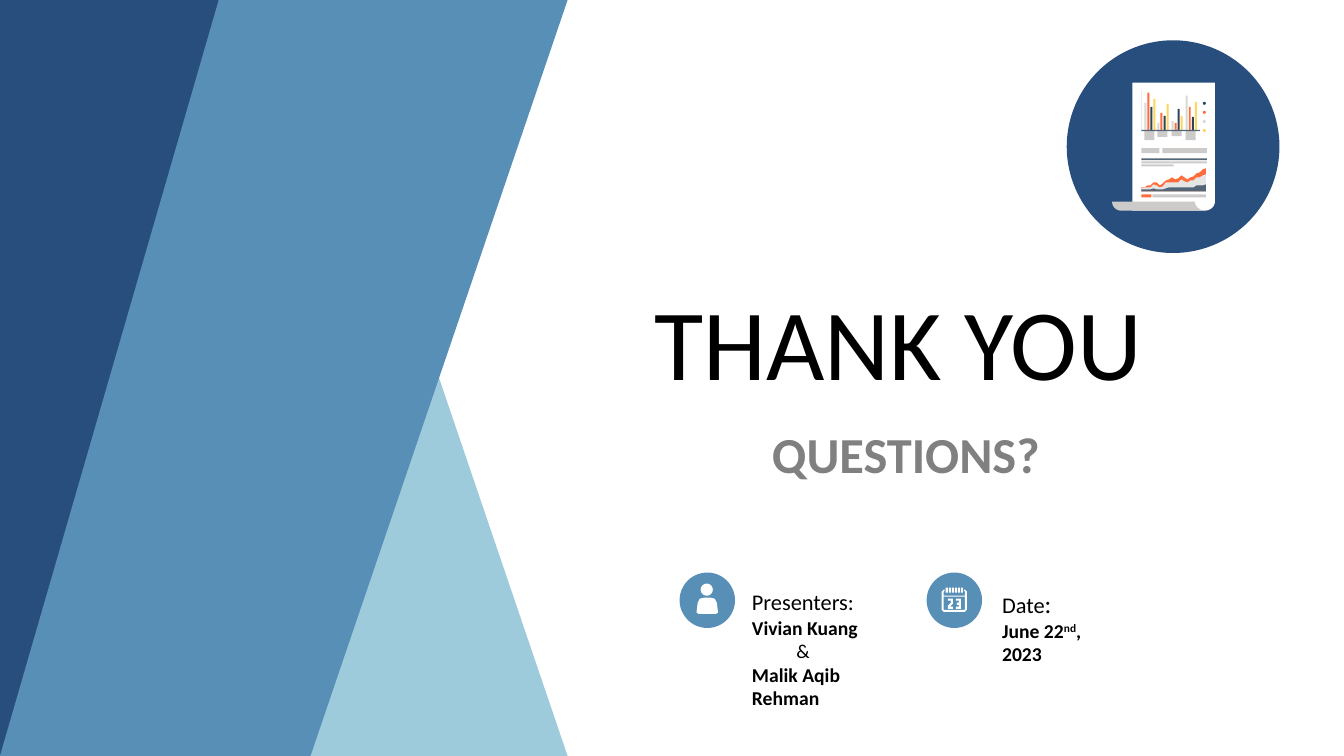
import math
from pptx import Presentation
from pptx import util as u
from pptx.dml.color import RGBColor
from pptx.enum import shapes, text

COLORS = {
    "navy": "284E7D", "blue": "578FB7", "pale": "9DCBDB", "white": "FFFFFF",
    "black": "000000", "gray": "808080", "orange": "FF6D3B", "silver": "CCCBCA",
    "mist": "E6E5E5", "slate": "526677", "ash": "D9D8D7", "ink": "2B4457",
    "yellow": "FFD55C",
}
RECT, OVAL = shapes.MSO_SHAPE.RECTANGLE, shapes.MSO_SHAPE.OVAL


def add_part(target, kind, color, left, top, width, height):
    part = target.add_shape(kind, *map(u.Inches, (left, top, width, height)))
    part.shadow.inherit = False
    part.fill.solid()
    part.fill.fore_color.rgb = RGBColor.from_string(COLORS[color])
    part.line.fill.background()


def add_outline(target, color, *contours):
    builder = None
    for contour in contours:
        points = [(u.Inches(x), u.Inches(y)) for x, y in contour]
        if builder is None:
            builder = target.build_freeform(*points[0])
        else:
            builder.move_to(*points[0])
        builder.add_line_segments(points[1:], close=True)
    outline = builder.convert_to_shape()
    outline.shadow.inherit = False
    outline.fill.solid()
    outline.fill.fore_color.rgb = RGBColor.from_string(COLORS[color])
    outline.line.fill.background()


deck = Presentation()
deck.slide_width, deck.slide_height = u.Inches(13.33), u.Inches(7.5)
page = deck.slides.add_slide(deck.slide_layouts[5])

# Badge and slanted bands
add_part(page.shapes, OVAL, "navy", 10.58, 0.4, 2.11, 2.11)
add_outline(page.shapes, "pale", [(2.17, 7.5), (5.63, 7.5), (3.08, 0), (2.17, 0)])
add_part(page.shapes, RECT, "navy", 0, 0, 2.41, 7.5)
add_outline(page.shapes, "blue", [(2.17, 0), (5.63, 0), (3.08, 7.5), (0, 7.5)])

# Report icon: paper
report = page.shapes.add_group_shape().shapes
paper_curl, roll_end, roll_lip = [
    [(x + radius * math.cos(math.radians(a)), 2 + 0.09 * math.sin(math.radians(a)))
     for a in range(0, 91, 15)]
    for x, radius in ((11.95, 0.1), (11.12, -0.09), (11.96, -0.11))
]
add_outline(report, "white", [(11.23, 0.82), (12.05, 0.82), *paper_curl, (11.23, 2.09)])

# Report icon: text lines
for color, left, top, width, height in (
    ("orange", 11.32, 1.93, 0.1, 0.03), ("silver", 11.43, 1.93, 0.53, 0.03),
    ("silver", 11.32, 1.47, 0.18, 0.05), ("silver", 11.53, 1.47, 0.44, 0.05),
    ("slate", 11.32, 1.57, 0.65, 0.02), ("silver", 11.32, 1.6, 0.65, 0.02),
    ("silver", 11.32, 1.63, 0.32, 0.02),
):
    add_part(report, RECT, color, left, top, width, height)

# Report icon: stacked areas
for color, tops in (
    ("orange", [1.86, 1.86, 1.84, 1.84, 1.81, 1.81, 1.84, 1.82, 1.79, 1.78, 1.76,
                1.78, 1.77, 1.74, 1.76, 1.78, 1.76, 1.75, 1.72, 1.71, 1.68, 1.67]),
    ("mist", [1.87, 1.86, 1.86, 1.86, 1.83, 1.84, 1.86, 1.85, 1.81, 1.81, 1.81,
              1.81, 1.81, 1.78, 1.8, 1.81, 1.79, 1.79, 1.76, 1.76, 1.74, 1.73]),
    ("slate", [1.88] * 4 + [1.87] + [1.88] * 3 + [1.87] + [1.86] * 9
     + [1.84] * 3 + [1.83]),
):
    ridge = [(11.32 + 0.64 * i / (len(tops) - 1), top) for i, top in enumerate(tops)]
    add_outline(report, color, [*ridge, (11.96, 1.9), (11.32, 1.9)])

# Report icon: bar clusters with labels, legend dots and axis
SERIES = ("ash", "orange", "ink", "yellow")
for left, label_height, tops in (
    (11.35, 0.09, (1.02, 0.92, 1.06, 0.98)),
    (11.48, 0.06, (1.22, 1.12, 1.15, 1.03)),
    (11.62, 0.05, (1.2, 1.22, 1.08, 1.15)),
    (11.76, 0.09, (0.95, 1.06, 1.16, 1.01)),
):
    add_part(report, RECT, "silver", left, 1.3, 0.1, label_height)
    for i, (color, top) in enumerate(zip(SERIES, tops)):
        add_part(report, RECT, color, left + 0.03 * i, top, 0.02, 1.29 - top)
for i, color in enumerate(("ink", "orange", "ash", "yellow")):
    add_part(report, OVAL, color, 11.93, 1.01 + 0.09 * i, 0.03, 0.03)
add_outline(report, "slate",
            [(11.32, 0.9), (11.32, 1.29), (11.9, 1.29), (11.9, 1.3), (11.32, 1.3)])
add_outline(report, "silver", roll_end + roll_lip[::-1])

# Presenter icon
add_part(page.shapes, OVAL, "blue", 6.74, 5.68, 0.55, 0.55)
head = [(7.01 + 0.06 * math.cos(math.radians(a)), 5.85 + 0.06 * math.sin(math.radians(a)))
        for a in range(0, 360, 15)]
body = [(6.98, 5.93), (7.05, 5.93), (7.09, 5.94), (7.11, 5.98), (7.12, 6.06),
        (7.12, 6.08), (7.1, 6.09), (6.93, 6.09), (6.91, 6.08), (6.91, 6.06),
        (6.92, 5.98), (6.94, 5.94)]
add_outline(page.shapes, "white", head, body)

# Calendar icon
add_part(page.shapes, OVAL, "blue", 9.19, 5.68, 0.55, 0.55)
frame = [(9.34, 5.87), (9.36, 5.85), (9.37, 5.85), (9.37, 5.86), (9.36, 5.87),
         (9.36, 5.91), (9.57, 5.91), (9.57, 5.87), (9.56, 5.86), (9.56, 5.85),
         (9.57, 5.85), (9.59, 5.87), (9.59, 6.05), (9.57, 6.07), (9.36, 6.07),
         (9.34, 6.05)]
window = [(9.36, 5.92), (9.36, 6.05), (9.57, 6.05), (9.57, 5.92)]
two = [(9.4, 5.94), (9.45, 5.94), (9.45, 5.99), (9.42, 6.02), (9.45, 6.02),
       (9.45, 6.04), (9.4, 6.04), (9.4, 6.01), (9.43, 5.98), (9.43, 5.96), (9.4, 5.96)]
three = [(9.48, 5.94), (9.53, 5.94), (9.53, 6.04), (9.48, 6.04), (9.48, 6.02),
         (9.51, 6.02), (9.51, 6), (9.49, 6), (9.49, 5.98), (9.51, 5.98),
         (9.51, 5.96), (9.48, 5.96)]
pegs = [[(x, 5.83), (x + 0.02, 5.83), (x + 0.02, 5.88), (x, 5.88)]
        for x in (9.38 + 0.03 * i for i in range(6))]
add_outline(page.shapes, "white", frame, window, two, three, *pegs)

# Title and text: box, right margin, paragraphs of (size, bold, color, align, runs)
LEFT, CENTER = text.PP_ALIGN.LEFT, text.PP_ALIGN.CENTER
title = page.shapes.title
for box, place, right_margin, paragraphs in (
    (title, (6.39, 2.72, 5.09, 1.31), 0,
     [(72, False, "black", LEFT, ["THANK YOU"])]),
    (None, (5.65, 4.15, 6.67, 0.71), 0.1,
     [(36, True, "gray", CENTER, ["QUESTIONS?"])]),
    (None, (7.36, 5.79, 1.7, 1.08), 0.4,
     [(16, False, "black", LEFT, ["Presenters:"]),
      (14, True, "black", LEFT, ["Vivian Kuang"]),
      (14, False, "black", LEFT, ["&"]),
      (14, True, "black", LEFT, ["Malik Aqib Rehman"])]),
    (None, (9.84, 5.79, 1.41, 0.64), 0.31,
     [(16, False, "black", LEFT, ["Date", ":"]),
      (14, True, "black", LEFT, ["June 22", "nd", ", 2023"])]),
):
    place = [u.Inches(length) for length in place]
    if box is None:
        box = page.shapes.add_textbox(*place)
    box.left, box.top, box.width, box.height = place
    frame = box.text_frame
    frame.word_wrap = True
    frame.auto_size = text.MSO_AUTO_SIZE.NONE
    frame.vertical_anchor = text.MSO_ANCHOR.TOP
    frame.margin_right = u.Inches(right_margin)
    for i, (size, bold, color, align, runs) in enumerate(paragraphs):
        para = frame.add_paragraph() if i else frame.paragraphs[0]
        if runs == ["&"]:
            para._p.get_or_add_pPr().set("marL", str(u.Inches(0.44)))
        para.alignment = align
        para.font.name, para.font.size, para.font.bold = "Calibri", u.Pt(size), bold
        para.font.color.rgb = RGBColor.from_string(COLORS[color])
        for words in runs:
            span = para.add_run()
            span.text = words
            if words == ":":
                span.font.size = u.Pt(18)
            elif words == "nd":
                span.font._element.set("baseline", "30000")

deck.save("out.pptx")
